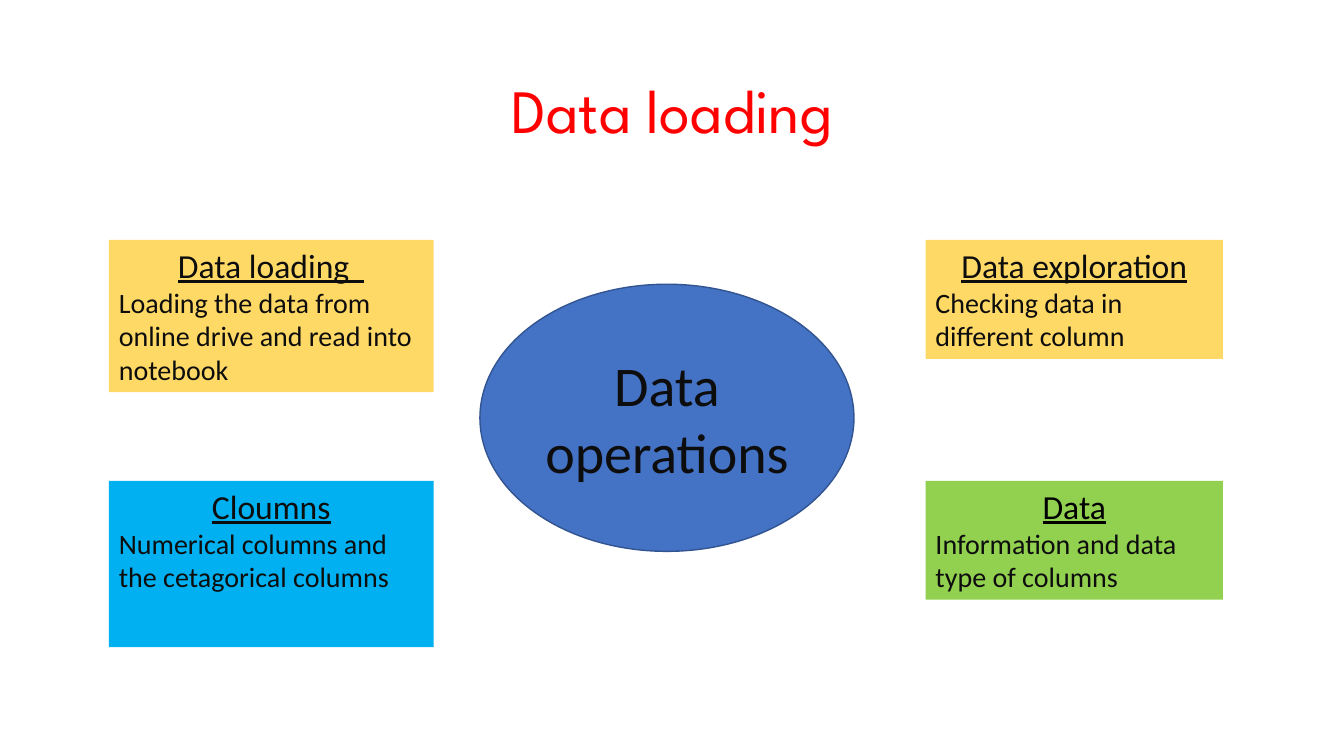
import pptx
import pptx.dml.color
import pptx.enum.shapes
import pptx.enum.text
import pptx.util
from dataclasses import dataclass


@dataclass(frozen=True)
class Theme:
    body_font: str = "Calibri"
    title_font: str = "League Spartan"
    title_size: int = 44
    hub_size: int = 40
    heading_size: int = 24
    body_size: int = 20
    red: str = "FF0000"
    ink: str = "0D0D0D"
    black: str = "000000"
    yellow: str = "FFD966"
    cyan: str = "00B0F0"
    green: str = "92D050"
    blue: str = "4472C4"
    outline: str = "325491"


theme = Theme()
Inches = pptx.util.Inches
Align = pptx.enum.text.PP_ALIGN
Anchor = pptx.enum.text.MSO_ANCHOR
Shape = pptx.enum.shapes.MSO_SHAPE


def rgb(code):
    return pptx.dml.color.RGBColor.from_string(code)


def write(paragraph, text, size, color, align, face=theme.body_font, underline=False):
    paragraph.text = text
    paragraph.alignment = align
    font = paragraph.font
    font.name, font.size, font.underline = face, pptx.util.Pt(size), underline
    font.color.rgb = rgb(color)


deck = pptx.Presentation()
deck.slide_width, deck.slide_height = Inches(13.33), Inches(7.5)
slide = deck.slides.add_slide(deck.slide_layouts[5])

# Title
title = slide.shapes.title
title.left, title.top = Inches(0.92), Inches(0.4)
title.width, title.height = Inches(11.5), Inches(1.45)
title.text_frame.vertical_anchor = Anchor.MIDDLE
heading = title.text_frame.paragraphs[0]
write(heading, "Data loading", theme.title_size, theme.red, Align.CENTER, theme.title_font)
heading.line_spacing = 0.9

# Four cards: two columns (left, width) by two rows (top)
columns = [(1.08, 3.22), (9.18, 2.95)]
rows = [2.38, 4.77]
cards = [
    (0, 0, 1.51, theme.yellow, theme.ink, "Data loading  ",
     "Loading the data from online drive and read into notebook"),
    (1, 0, 1.18, theme.yellow, theme.ink, "Data exploration",
     "Checking data in different column"),
    (0, 1, 1.65, theme.cyan, theme.ink, "Cloumns",
     "Numerical columns and the cetagorical columns"),
    (1, 1, 1.18, theme.green, theme.black, "Data",
     "Information and data type of columns"),
]
for column, row, height, fill, heading_color, name, detail in cards:
    left, width = columns[column]
    card = slide.shapes.add_textbox(
        Inches(left), Inches(rows[row]), Inches(width), Inches(height))
    card.fill.solid()
    card.fill.fore_color.rgb = rgb(fill)
    card.text_frame.word_wrap = True
    write(card.text_frame.paragraphs[0], name, theme.heading_size, heading_color,
          Align.CENTER, underline=True)
    write(card.text_frame.add_paragraph(), detail, theme.body_size, theme.ink, Align.LEFT)

# Central hub
hub = slide.shapes.add_shape(
    Shape.OVAL, Inches(4.76), Inches(2.82), Inches(3.71), Inches(2.65))
hub.shadow.inherit = False
hub.fill.solid()
hub.fill.fore_color.rgb = rgb(theme.blue)
hub.line.color.rgb = rgb(theme.outline)
hub.line.width = pptx.util.Pt(1)
hub.text_frame.word_wrap = True
hub.text_frame.vertical_anchor = Anchor.MIDDLE
write(hub.text_frame.paragraphs[0], "Data operations", theme.hub_size, theme.ink, Align.CENTER)

deck.save("out.pptx")
